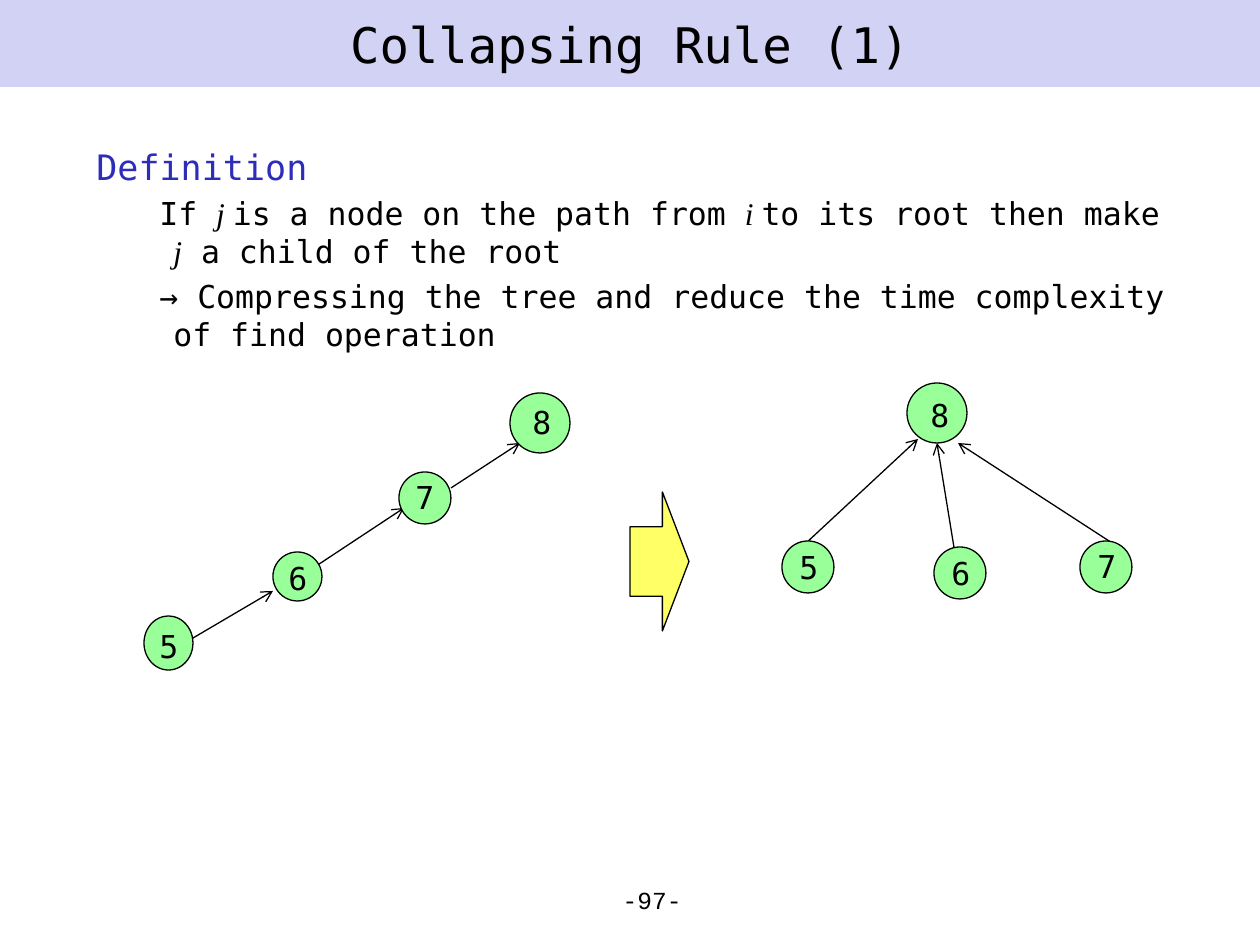
from lxml import etree
from pptx import Presentation
from pptx.dml.color import RGBColor
from pptx.enum.shapes import MSO_CONNECTOR, MSO_SHAPE
from pptx.enum.text import MSO_ANCHOR, PP_ALIGN
from pptx.oxml.ns import qn
from pptx.util import Emu, Pt

LINE = MSO_CONNECTOR.STRAIGHT
OVAL, RECT, ARROW = MSO_SHAPE.OVAL, MSO_SHAPE.RECTANGLE, MSO_SHAPE.RIGHT_ARROW
LEFT, MID, RIGHT = PP_ALIGN.LEFT, PP_ALIGN.CENTER, PP_ALIGN.RIGHT
TOP, CENTER = MSO_ANCHOR.TOP, MSO_ANCHOR.MIDDLE

BLACK = RGBColor(0x00, 0x00, 0x00)
BLUE = RGBColor(0x2D, 0x2D, 0xB9)
LILAC = RGBColor(0xD2, 0xD2, 0xF4)
GREEN = RGBColor(0x99, 0xFF, 0x99)
YELLOW = RGBColor(0xFF, 0xFF, 0x66)
MONO, SERIF, CODE = "DejaVu Sans Mono", "Times New Roman", "Courier New"

# Content: a run is text, or (text,) for an italic variable
TITLE = "Collapsing Rule (1)"
HEAD = ["Definition"]
RULE = ["If ", ("j ",), "is a node on the path from ", ("i ",),
        "to its root then make ", ("j",), " a child of the root"]
GAIN = ["→ Compressing the tree and reduce the time complexity of find operation"]
PAGE = "-97-"

# Nodes: label, oval box, label corner (px)
NODES = [
    ("8", (510, 393, 60, 60), (520, 397)),
    ("7", (399, 472, 52, 52), (403, 472)),
    ("6", (273, 552, 49, 49), (276, 553)),
    ("5", (144, 616, 49, 54), (147, 621)),
    ("8", (907, 383, 60, 60), (918, 390)),
    ("5", (782, 541, 52, 52), (787, 542)),
    ("6", (934, 547, 52, 52), (939, 548)),
    ("7", (1080, 541, 52, 52), (1085, 541)),
]
# Edges: child point, parent point (px)
EDGES = [
    ((154, 661), (273, 591)),
    ((292, 582), (404, 508)),
    ((451, 488), (520, 443)),
    ((790, 558), (918, 439)),
    ((958, 572), (937, 443)),
    ((1126, 552), (958, 443)),
]

SCALE = 914400 / 126


def px(*nums):
    return [Emu(round(n * SCALE)) for n in nums]


def write(shape, runs, new=False, size=18, color=BLACK, font=MONO,
          align=LEFT, anchor=TOP, wrap=True, gap=0, indent=None):
    frame = shape.text_frame
    frame.word_wrap, frame.vertical_anchor = wrap, anchor
    para = frame.add_paragraph() if new else frame.paragraphs[0]
    para.alignment, para.space_before = align, Pt(gap)
    if indent:
        props = para._p.get_or_add_pPr()
        for key, val in zip(("marL", "indent"), px(*indent)):
            props.set(key, str(val))
    for part in runs:
        var = isinstance(part, tuple)
        run = para.add_run()
        run.text = part[0] if var else part
        face = run.font
        face.size, face.italic = Pt(size), var
        face.color.rgb = color
        face.name = SERIF if var else font
        etree.SubElement(run._r.rPr, qn("a:ea"), typeface=face.name)


def draw(kind, box, fill, edge=True):
    shape = shapes.add_shape(kind, *px(*box))
    shape.shadow.inherit = False
    shape.fill.solid()
    shape.fill.fore_color.rgb = fill
    if edge:
        shape.line.color.rgb = BLACK
        shape.line.width = Pt(0.75)
    else:
        shape.line.fill.background()
    return shape


def link(start, end):
    line = shapes.add_connector(LINE, *px(*start, *end))
    line.line.color.rgb = BLACK
    line.line.width = Pt(0.75)
    etree.SubElement(line.line._get_or_add_ln(), qn("a:tailEnd"), type="arrow")
    etree.SubElement(line._element.spPr, qn("a:effectLst"))


prs = Presentation()
prs.slide_width, prs.slide_height = px(1260, 945)
shapes = prs.slides.add_slide(prs.slide_layouts[6]).shapes

# Title band
band = draw(RECT, (0, 0, 1260, 87), LILAC, edge=False)
write(band, [TITLE], size=28, align=MID, anchor=CENTER)

# Definition
body = shapes.add_textbox(*px(84, 139, 1106, 283))
write(body, HEAD, size=20, color=BLUE, indent=(53, -53))
for runs in (RULE, GAIN):
    write(body, runs, new=True, gap=4, indent=(77, -14))

# Page number
page = shapes.add_textbox(*px(432, 879, 262, 39))
write(page, [PAGE], size=14, font=CODE, align=RIGHT)

# Trees: edges lie under the nodes
for start, end in EDGES:
    link(start, end)
for label, box, corner in NODES:
    draw(OVAL, box, GREEN)
    write(shapes.add_textbox(*px(*corner, 43, 50)), [label],
          align=MID, wrap=False)

# Arrow from the old tree to the new
step = draw(ARROW, (630, 492, 59, 139), YELLOW)
step.adjustments[0], step.adjustments[1] = 0.5, 0.45

prs.save("out.pptx")
